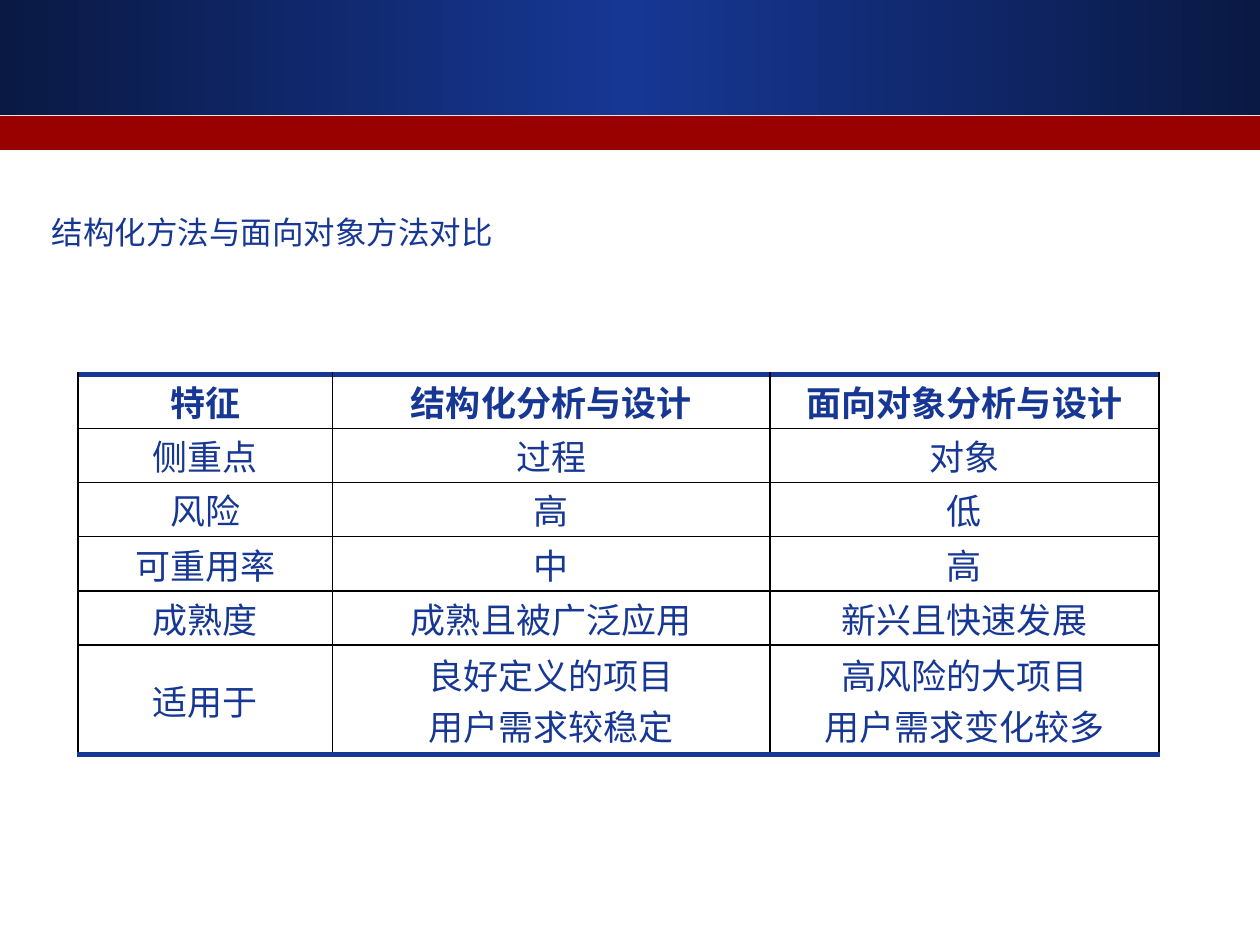
"""Build a slide comparing structured and object-oriented methods."""
from copy import deepcopy
from pptx import Presentation, oxml, util as u
from pptx.dml.color import RGBColor
from pptx.enum import shapes, text
from pptx.oxml import ns

BLUE = RGBColor(0x16, 0x37, 0x94)
NAVY = RGBColor(0x0A, 0x19, 0x44)
RED = RGBColor(0x99, 0x00, 0x00)
BLACK = RGBColor(0x00, 0x00, 0x00)

COLS = [2.02, 3.47, 3.09]
ROWS = [0.43] * 5 + [0.87]
DATA = [
    ["特征", "结构化分析与设计", "面向对象分析与设计"],
    ["侧重点", "过程", "对象"],
    ["风险", "高", "低"],
    ["可重用率", "中", "高"],
    ["成熟度", "成熟且被广泛应用", "新兴且快速发展"],
    ["适用于", "良好定义的项目\n用户需求较稳定", "高风险的大项目\n用户需求变化较多"],
]


def style(para, name, size, bold, align):
    para.alignment = align
    para.font.color.rgb = BLUE
    for key, val in {"name": name, "size": u.Pt(size), "bold": bold}.items():
        setattr(para.font, key, val)


def edge(cell, side, color, width):
    cell._tc.get_or_add_tcPr().append(oxml.parse_xml(
        f'<a:{side} {ns.nsdecls("a")} w="{u.Pt(width)}"><a:solidFill>'
        f'<a:srgbClr val="{color}"/></a:solidFill></a:{side}>'))


deck = Presentation()
deck.slide_width, deck.slide_height = u.Inches(10), u.Inches(7.5)
slide = deck.slides.add_slide(deck.slide_layouts[5])

bands = []
for top, high in [(0, 0.91), (0.92, 0.27)]:
    band = slide.shapes.add_shape(shapes.MSO_SHAPE.RECTANGLE, 0, u.Inches(top),
                                  deck.slide_width, u.Inches(high))
    band.shadow.inherit = False
    band.line.fill.background()
    bands.append(band)
blend, strip = bands
strip.fill.solid()
strip.fill.fore_color.rgb = RED
blend.fill.gradient()
blend.fill.gradient_angle = 0
stops = blend.element.xpath(".//a:gsLst")[0]
stops.insert(1, deepcopy(stops[0]))
for stop, color, place in zip(blend.fill.gradient_stops, [NAVY, BLUE, NAVY], [0, 0.5, 1]):
    stop.color.rgb = color
    stop.position = place

title = slide.shapes.title
for key, val in {"left": 0.31, "top": 1.64, "width": 3.74, "height": 0.4}.items():
    setattr(title, key, u.Inches(val))
frame = title.text_frame
frame.text = "结构化方法与面向对象方法对比"
for key, val in {"word_wrap": False, "auto_size": text.MSO_AUTO_SIZE.SHAPE_TO_FIT_TEXT,
                 "vertical_anchor": text.MSO_ANCHOR.MIDDLE}.items():
    setattr(frame, key, val)
style(frame.paragraphs[0], "Arial", 18, False, text.PP_ALIGN.LEFT)

grid = slide.shapes.add_table(len(ROWS), len(COLS), u.Inches(0.62), u.Inches(2.97),
                              u.Inches(sum(COLS)), u.Inches(sum(ROWS))).table
grid.first_row = grid.horz_banding = False
for col, wide in zip(grid.columns, COLS):
    col.width = u.Inches(wide)
for row, high in zip(grid.rows, ROWS):
    row.height = u.Inches(high)

inset = u.Inches(0.07)
last = len(ROWS) - 1
for r, line in enumerate(DATA):
    for c, words in enumerate(line):
        cell = grid.cell(r, c)
        cell.text = words
        for key, val in {"margin_left": inset, "margin_right": inset, "margin_top": 0,
                         "margin_bottom": 0,
                         "vertical_anchor": text.MSO_ANCHOR.MIDDLE}.items():
            setattr(cell, key, val)
        for para in cell.text_frame.paragraphs:
            style(para, "Times New Roman", 20, r == 0, text.PP_ALIGN.CENTER)
        for side, thick in {"lnL": False, "lnR": False, "lnT": r == 0, "lnB": r == last}.items():
            edge(cell, side, BLUE if thick else BLACK, 3 if thick else 1)
        cell.fill.background()

deck.save("out.pptx")
